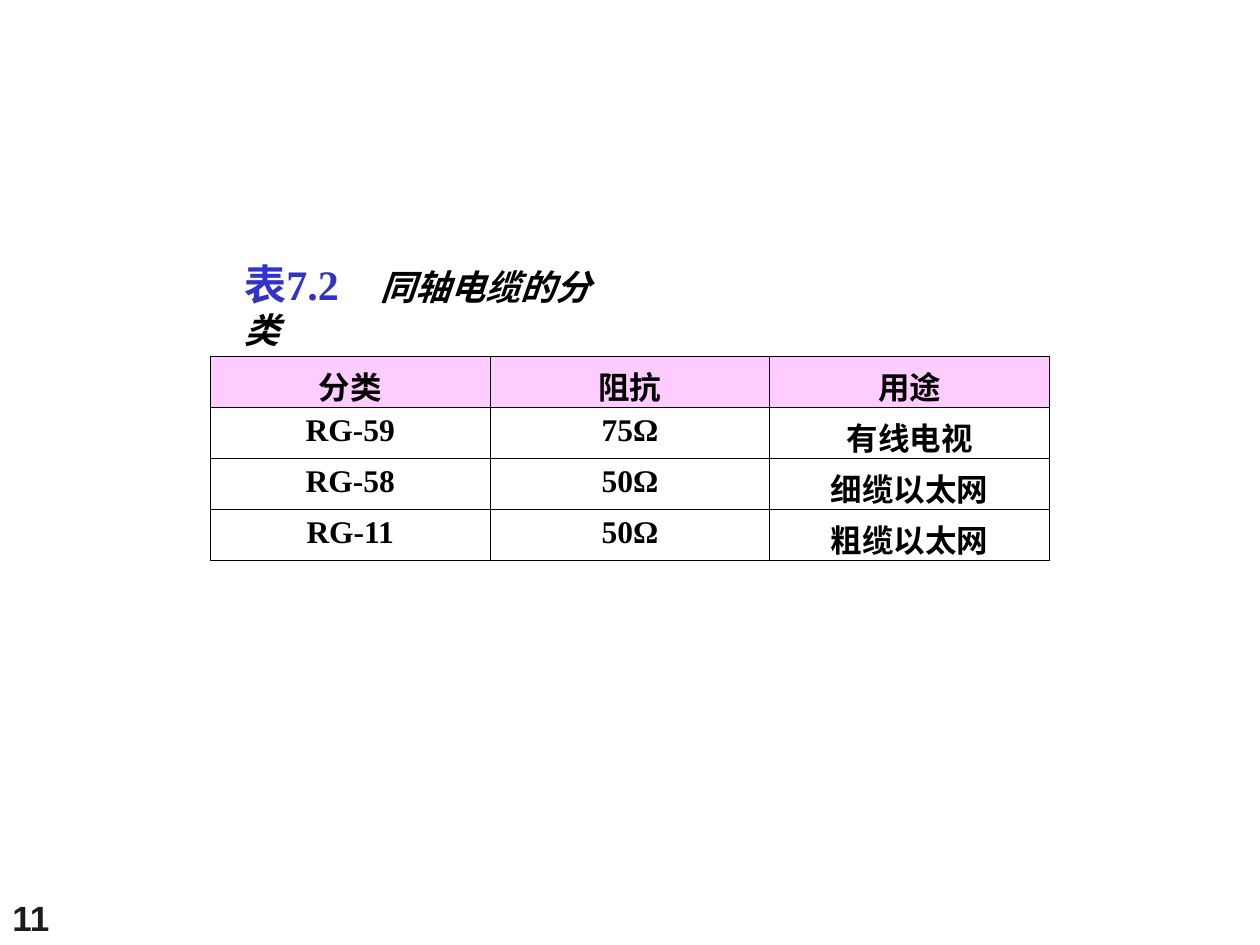
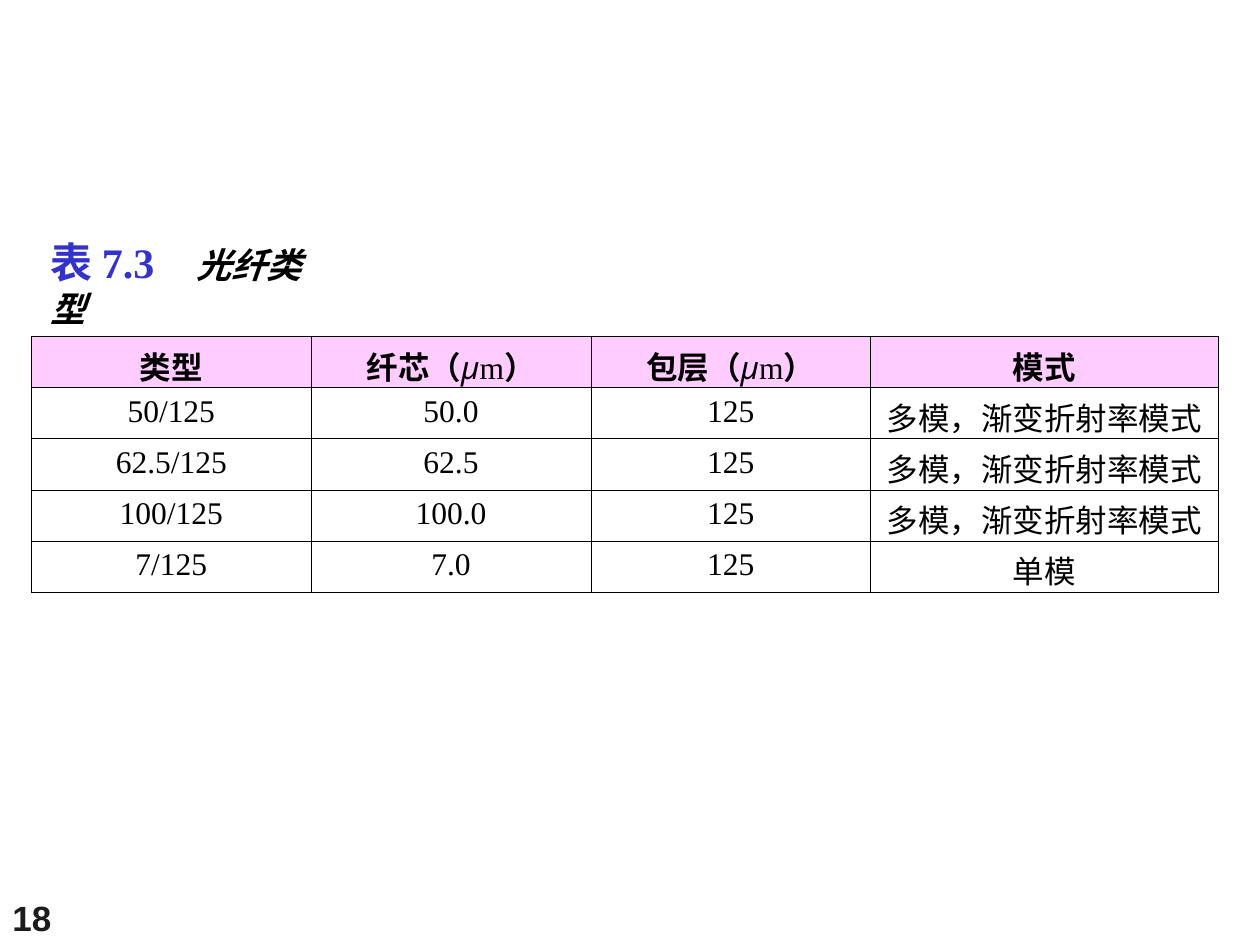
from lxml import etree
from pptx import Presentation
from pptx.dml.color import RGBColor
from pptx.enum import text as txt
from pptx.oxml import ns
from pptx.util import Inches, Pt

CAPTION_BLUE = RGBColor(0x33, 0x33, 0xCC)
HEADER_PINK = RGBColor(0xFF, 0xCC, 0xFF)
NUMBER_GRAY = RGBColor(0x1C, 0x1C, 0x1C)
BLACK = RGBColor(0, 0, 0)

SERIF = "Times New Roman"
SANS = "Arial"
SYMBOL = "Cabin"

TITLE_ONLY = 5
BORDER_WIDTH = Pt(0.45)
COLUMN = 2.22
MICROMETRE = [("μ", SYMBOL, False, True), ("m", SERIF, False, False)]


def add_run(paragraph, content, size, color=BLACK, name=SERIF, bold=True, italic=False):
    run = paragraph.add_run()
    run.text = content
    font = run.font
    font.size, font.name, font.bold, font.italic = Pt(size), name, bold, italic
    font.color.rgb = color


def add_caption(slide, box, label, name, name_offset):
    """Place the table label, then its name at a tab stop inside the box."""
    title = slide.shapes.title
    title.left, title.top, title.width, title.height = map(Inches, box)
    frame = title.text_frame
    frame.word_wrap = False
    frame.auto_size = txt.MSO_AUTO_SIZE.SHAPE_TO_FIT_TEXT
    frame.vertical_anchor = txt.MSO_ANCHOR.TOP
    paragraph = frame.paragraphs[0]
    paragraph.alignment = txt.PP_ALIGN.LEFT
    tabs = etree.SubElement(paragraph._p.get_or_add_pPr(), ns.qn("a:tabLst"))
    etree.SubElement(tabs, ns.qn("a:tab"), pos=str(Inches(name_offset)), algn="l")
    add_run(paragraph, label + "\t", 24, CAPTION_BLUE)
    add_run(paragraph, name, 20, italic=True)


def add_borders(cell):
    properties = cell._tc.get_or_add_tcPr()
    for side in ("lnL", "lnR", "lnT", "lnB"):
        line = etree.SubElement(properties, ns.qn(f"a:{side}"), w=str(BORDER_WIDTH))
        fill = etree.SubElement(line, ns.qn("a:solidFill"))
        etree.SubElement(fill, ns.qn("a:srgbClr"), val=str(BLACK))


def fill_cell(cell, content, is_header, bold):
    """Write a string, or a list of (text, font, bold, italic) runs, into a cell."""
    add_borders(cell)
    if is_header:
        cell.fill.solid()
        cell.fill.fore_color.rgb = HEADER_PINK
    else:
        cell.fill.background()
    paragraph = cell.text_frame.paragraphs[0]
    paragraph.alignment = txt.PP_ALIGN.CENTER
    runs = [(content, SERIF, bold, False)] if isinstance(content, str) else content
    for words, name, run_bold, italic in runs:
        add_run(paragraph, words, 18, name=name, bold=run_bold, italic=italic)


def add_grid(slide, left, top, height, columns, rows, body_bold):
    frame = slide.shapes.add_table(
        len(rows), len(columns), Inches(left), Inches(top),
        Inches(sum(columns)), Inches(height))
    table = frame.table
    table.first_row = table.horz_banding = False
    for column, width in zip(table.columns, columns):
        column.width = Inches(width)
    for row_index, row in enumerate(rows):
        is_header = row_index == 0
        for column_index, content in enumerate(row):
            fill_cell(table.cell(row_index, column_index), content,
                      is_header, is_header or body_bold)


def add_page_number(slide, number):
    box = slide.shapes.add_textbox(Inches(0), Inches(7), Inches(2.08), Inches(0.5))
    frame = box.text_frame
    frame.word_wrap = True
    frame.vertical_anchor = txt.MSO_ANCHOR.BOTTOM
    add_run(frame.paragraphs[0], str(number), 20, NUMBER_GRAY, SANS)


def add_table_slide(presentation, number, caption, grid):
    slide = presentation.slides.add_slide(presentation.slide_layouts[TITLE_ONLY])
    add_caption(slide, **caption)
    add_grid(slide, **grid)
    add_page_number(slide, number)


def with_unit(quantity):
    return [(quantity + "（", SERIF, True, False), *MICROMETRE, ("）", SERIF, True, False)]


def main():
    presentation = Presentation()
    presentation.slide_width, presentation.slide_height = Inches(10), Inches(7.5)

    add_table_slide(
        presentation, 11,
        caption=dict(box=(1.84, 2, 3.22, 0.5), label="表7.2",
                     name="同轴电缆的分类", name_offset=1.08),
        grid=dict(left=1.67, top=2.83, height=1.62, columns=[COLUMN] * 3, body_bold=True,
                  rows=[("分类", "阻抗", "用途"),
                        ("RG-59", "75Ω", "有线电视"),
                        ("RG-58", "50Ω", "细缆以太网"),
                        ("RG-11", "50Ω", "粗缆以太网")]))

    graded = "多模，渐变折射率模式"
    add_table_slide(
        presentation, 18,
        caption=dict(box=(0.3, 1.83, 2.46, 0.5), label="表 7.3",
                     name="光纤类型", name_offset=1.16),
        grid=dict(left=0.25, top=2.67, height=2.03, columns=[COLUMN] * 3 + [2.76],
                  body_bold=False,
                  rows=[("类型", with_unit("纤芯"), with_unit("包层"), "模式"),
                        ("50/125", "50.0", "125", graded),
                        ("62.5/125", "62.5", "125", graded),
                        ("100/125", "100.0", "125", graded),
                        ("7/125", "7.0", "125", "单模")]))

    presentation.save("out.pptx")


if __name__ == "__main__":
    main()
